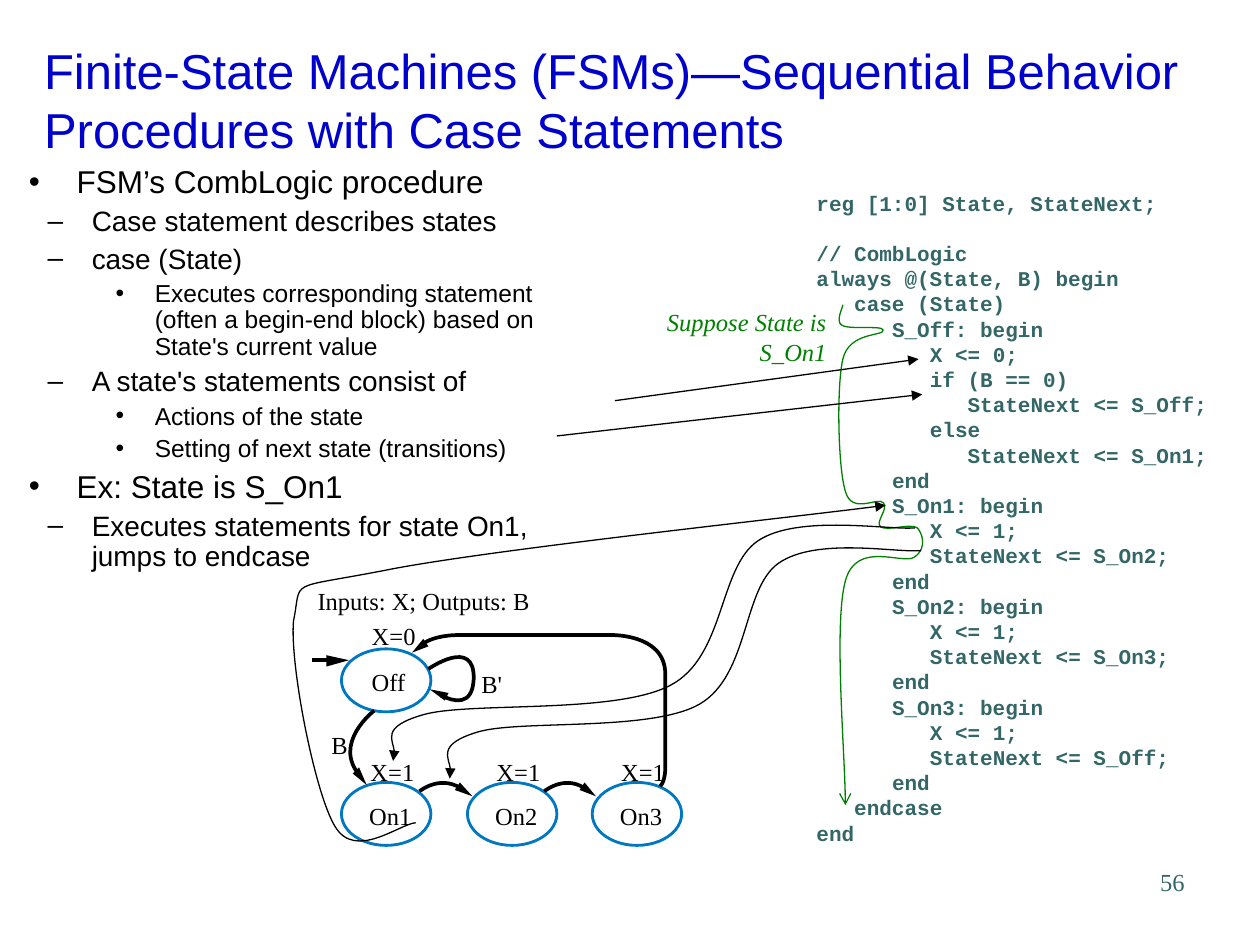
from lxml.etree import SubElement
from pptx import Presentation
from pptx.dml.color import RGBColor
from pptx.enum.shapes import MSO_CONNECTOR as Link, MSO_SHAPE as Kind
from pptx.enum.text import MSO_ANCHOR as Anchor, PP_ALIGN as Align
from pptx.oxml.ns import qn
from pptx.util import Inches, Pt

BLACK = RGBColor(0, 0, 0)
BLUE = RGBColor(0x00, 0x00, 0xCC)
RING = RGBColor(0x00, 0x78, 0xC1)
TEAL = RGBColor(0x33, 0x66, 0x66)
GREEN = RGBColor(0x00, 0x80, 0x00)
SANS, SERIF, MONO = "Arial", "Times New Roman", "Courier New"

deck = Presentation()
deck.slide_width, deck.slide_height = Inches(10), Inches(7.5)
U = deck.slide_width // 1000  # grid of 1000 columns by 750 rows
slide = deck.slides.add_slide(deck.slide_layouts[5])
shapes = slide.shapes


def write(box, lines, size, font, color, pad=(0, 0), wrap=False,
          side=Align.LEFT):
    """Set the frame, add one paragraph per line and return them."""
    frame = box.text_frame
    frame.word_wrap = wrap
    frame.margin_left = frame.margin_right = pad[0] * U
    frame.margin_top = frame.margin_bottom = pad[1] * U
    paras = []
    for n, line in enumerate(lines):
        para = frame.add_paragraph() if n else frame.paragraphs[0]
        para.alignment = side
        para.line_spacing = Pt(1.2 * size)
        run = para.add_run()
        run.text = line
        run.font.size, run.font.name = Pt(size), font
        run.font.color.rgb = color
        paras.append(para)
    return paras


def ink(shape, color, width, head=None, tail=None):
    """Give a line its colour, width and arrowheads, with no shadow."""
    shape.line.color.rgb = color
    shape.line.width = Pt(width)
    props = shape.element.spPr
    for tag, kind in (("a:headEnd", head), ("a:tailEnd", tail)):
        if kind:
            SubElement(props.find(qn("a:ln")), qn(tag), type=kind)
    SubElement(props, qn("a:effectLst"))


# Title
title = shapes.title
title.left, title.top, title.width, title.height = (
    25 * U, 33 * U, 942 * U, 92 * U)
title.text_frame.vertical_anchor = Anchor.MIDDLE
heading = ("Finite-State Machines (FSMs)—Sequential Behavior\v"
           "Procedures with Case Statements")
# A line break splits the heading into two runs of one paragraph
first, second = heading.split("\v")
para = write(title, [first], 28, SANS, BLUE, (10, 5), True)[0]
para.add_line_break()
run = para.add_run()
run.text = second
run.font.size, run.font.name, run.font.color.rgb = Pt(28), SANS, BLUE

# Bullets: size, mark, text start, hang, space before for each level
LEVELS = [(18, "•", 38, 38, 4.5), (16, "–", 50, 35, 4), (14, "•", 100, 31, 3.5)]
points = [
    (0, "FSM’s CombLogic procedure"),
    (1, "Case statement describes states"),
    (1, "case (State)"),
    (2, "Executes corresponding statement (often a begin-end block) "
        "based on State's current value"),
    (1, "A state's statements consist of"),
    (2, "Actions of the state"),
    (2, "Setting of next state (transitions)"),
    (0, "Ex: State is S_On1"),
    (1, "Executes statements for state On1, jumps to endcase"),
]
body = shapes.add_textbox(13 * U, 127 * U, 455 * U, 351 * U)
paras = write(body, [text for _, text in points], 18, SANS, BLACK, (10, 5), True)
for para, (level, _) in zip(paras, points):
    size, mark, start, hang, gap = LEVELS[level]
    para.level = level
    para.runs[0].font.size = Pt(size)
    para.line_spacing, para.space_before = Pt(1.08 * size), Pt(gap)
    props = para._p.get_or_add_pPr()
    props.set("marL", str(start * U))
    props.set("indent", str(-hang * U))
    SubElement(props, qn("a:buFont"), typeface=SANS)
    SubElement(props, qn("a:buChar"), char=mark)

# Code, each line with its depth
code = [
    (0, "reg [1:0] State, StateNext;"),
    (0, "// CombLogic"),
    (0, "always @(State, B) begin"),
    (1, "case (State)"),
    (2, "S_Off: begin"),
    (3, "X <= 0;"),
    (3, "if (B == 0)"),
    (4, "StateNext <= S_Off;"),
    (3, "else"),
    (4, "StateNext <= S_On1;"),
    (2, "end"),
]
for name, after in (("On1", "On2"), ("On2", "On3"), ("On3", "Off")):
    code += [(2, f"S_{name}: begin"), (3, "X <= 1;"),
             (3, f"StateNext <= S_{after};"), (2, "end")]
code += [(1, "endcase"), (0, "end")]
box = shapes.add_textbox(618 * U, 151 * U, 340 * U, 520 * U)
paras = write(box, [text for _, text in code], 12, MONO, TEAL)
for para, (depth, _) in zip(paras, code):
    para.runs[0].font.bold = True
    para._p.get_or_add_pPr().set("marL", str(30 * (depth + 1) * U))
paras[1].space_before = Pt(14.4)

# Side note and page number
note = shapes.add_textbox(479 * U, 244 * U, 177 * U, 47 * U)
para = write(note, ["Suppose State is S_On1"], 14, SERIF, GREEN,
             wrap=True, side=Align.RIGHT)[0]
para.runs[0].font.italic = True
page = shapes.add_textbox(742 * U, 683 * U, 208 * U, 50 * U)
write(page, ["56"], 14, SERIF, TEAL, (10, 5), True, Align.RIGHT)

# State diagram: labels and rings
labels = [("Inputs: X; Outputs: B", 252, 465, 169), ("X=0", 295, 493, 35),
          ("Off", 295, 529, 27), ("B'", 382, 531, 17), ("B", 263, 579, 13)]
rings = [(271, 515)]
for n in range(3):
    left = 271 + round(99.5 * n)
    rings.append((left, 621))
    labels += [(f"On{n + 1}", left + 22, 636, 34), ("X=1", left + 23, 601, 35)]
for text, left, top, width in labels:
    box = shapes.add_textbox(left * U, top * U, width * U, 23 * U)
    write(box, [text], 14, SERIF, BLACK)
for left, top in rings:
    ring = shapes.add_shape(Kind.OVAL, left * U, top * U, 71 * U, 50 * U)
    ring.fill.background()
    ink(ring, RING, 1.62)

# Solid arrow tips
for tip in ([(277, 524), (259, 520), (259, 529)],
            [(375, 632), (365, 621), (361, 627)],
            [(473, 632), (464, 621), (460, 627)],
            [(291, 623), (285, 609), (280, 614)],
            [(341, 547), (353, 556), (356, 550)],
            [(327, 518), (340, 513), (336, 507)]):
    pen = shapes.build_freeform(*tip[0], scale=float(U))
    pen.add_line_segments(tip[1:], close=True)
    shape = pen.convert_to_shape()
    shape.fill.solid()
    shape.fill.fore_color.rgb = BLACK
    shape.line.fill.background()
    shape.shadow.inherit = False

# Curves: a start, then three Bezier points for each piece
THICK, THIN = (BLACK, 2.13), (BLACK, 0.75)
curves = [
    (THICK, [(333, 628), (333, 628), (351, 613), (369, 628)]),
    (THICK, [(432, 628), (432, 628), (450, 613), (467, 628)]),
    (THICK, [(297, 564), (297, 564), (263, 590), (286, 616)]),
    (THICK, [(350, 552), (360, 557), (375, 561), (376, 539),
             (377, 505), (340, 531), (340, 531)]),
    (THICK, [(337, 510), (342, 507), (351, 504), (365, 504),
             (483, 504), (483, 504), (483, 504), (483, 504), (528, 502),
             (528, 535), (528, 610), (528, 610), (528, 610),
             (528, 610), (528, 620), (524, 624)]),
    ((GREEN, 0.75, None, "arrow"),
     [(669, 242), (669, 244), (663, 255), (668, 258),
      (673, 262), (701, 258), (701, 262), (702, 267), (674, 263), (669, 285),
      (664, 306), (665, 371), (671, 390), (676, 409), (697, 394), (701, 399),
      (706, 403), (694, 415), (699, 418), (703, 422), (723, 415), (728, 419),
      (732, 423), (736, 435), (726, 442), (717, 449), (680, 428), (671, 461),
      (662, 494), (671, 602), (671, 639)]),
    ((*THIN, None, "triangle"),
     [(726, 419), (706, 421), (634, 408), (602, 429),
      (570, 450), (576, 521), (532, 544), (488, 567), (374, 557), (337, 567),
      (301, 577), (317, 596), (312, 604)]),
    ((*THIN, None, "triangle"),
     [(731, 437), (712, 439), (648, 426), (618, 447),
      (589, 467), (595, 536), (555, 559), (516, 581), (412, 571), (379, 581),
      (346, 591), (361, 610), (357, 618)]),
    ((*THIN, "triangle"),
     [(703, 401), (636, 410), (382, 437), (304, 453),
      (226, 468), (240, 459), (233, 493), (230, 528), (250, 630), (266, 656),
      (282, 683), (317, 654), (330, 653)]),
]
for style, dots in curves:
    pen = shapes.build_freeform(*dots[0], scale=float(U))
    pen.add_line_segments(dots[1:], close=False)
    shape = pen.convert_to_shape()
    shape.fill.background()
    route = next(shape.element.iter(qn("a:path")))
    legs = route.findall(qn("a:lnTo"))
    for n in range(0, len(legs), 3):
        bend = SubElement(route, qn("a:cubicBezTo"))
        for leg in legs[n:n + 3]:
            bend.append(leg[0])
            route.remove(leg)
    ink(shape, *style)

# Straight lines
for ends, style in (((248, 524, 262, 524), THICK),
                    ((442, 346, 732, 313), (*THIN, None, "triangle")),
                    ((488, 318, 729, 285), (*THIN, None, "triangle"))):
    line = shapes.add_connector(Link.STRAIGHT, *(n * U for n in ends))
    ink(line, *style)

deck.save("out.pptx")
